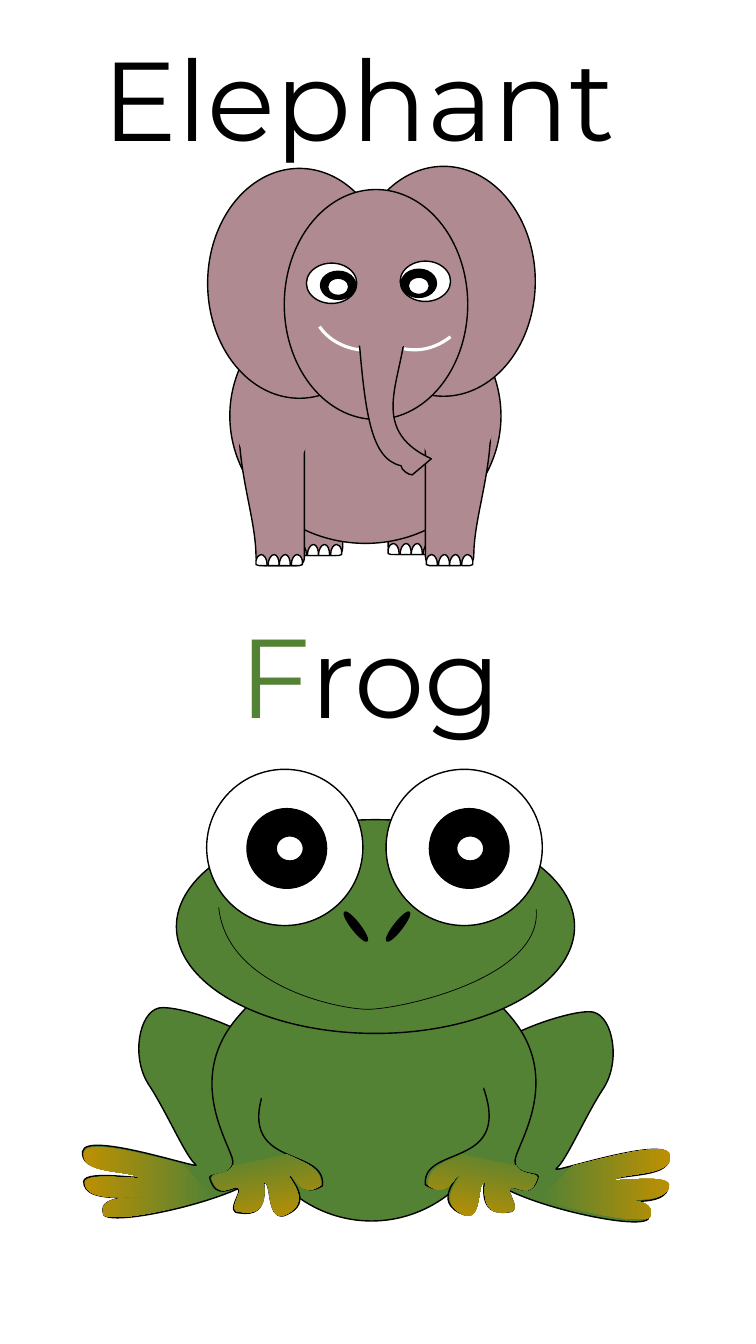
from pptx import Presentation
from pptx.dml.color import RGBColor
from pptx.enum import shapes, text
from pptx.oxml.ns import qn
from pptx import util as u

PX = 9144
MAUVE, GREEN, GOLD = "AF8B91", "548235", "BF9000"
BLACK, WHITE = "000000", "FFFFFF"


def rgb(code):
    return RGBColor.from_string(code)


def emu(*nums):
    return [round(n * PX) for n in nums]


def trace(path, axis=None, dx=0, dy=0):
    """Read M/L/C path text as kinds and points, mirrored (x -> axis - x) or moved."""
    marks = path.split()
    kinds = [m for m in marks if m.isalpha()]
    nums = [int(m) for m in marks if not m.isalpha()]
    points = [(x + dx if axis is None else axis - x, y + dy)
              for x, y in zip(nums[::2], nums[1::2])]
    return kinds, points


def bend(shape, kinds):
    """Merge each three straight steps of a C part into one curve."""
    steps = list(shape._element.iter(qn("a:lnTo")))
    for kind in kinds[1:]:
        first = steps.pop(0)
        if kind == "C":
            first.tag = qn("a:cubicBezTo")
            for spare in (steps.pop(0), steps.pop(0)):
                first.append(spare[0])
                spare.getparent().remove(spare)


class Board:
    font = "Montserrat"
    size = 80

    def __init__(self, deck):
        self.slide = deck.slides.add_slide(deck.slide_layouts[5])
        self.shapes = self.slide.shapes

    def paint(self, shape, fill, line, width, angle=0):
        shape.shadow.inherit = False
        if isinstance(fill, tuple):
            shape.fill.gradient()
            shape.fill.gradient_angle = -angle % 360
            for stop, code, place in zip(shape.fill.gradient_stops, fill, (0, 1)):
                stop.color.rgb, stop.position = rgb(code), place
        elif fill:
            shape.fill.solid()
            shape.fill.fore_color.rgb = rgb(fill)
        else:
            shape.fill.background()
        if line:
            shape.line.color.rgb = rgb(line)
            shape.line.width = u.Pt(width)
        else:
            shape.line.fill.background()

    def oval(self, box, fill, line=BLACK, turn=0):
        shape = self.shapes.add_shape(shapes.MSO_SHAPE.OVAL, *emu(*box))
        shape.rotation = turn
        self.paint(shape, fill, line, 1)

    def free(self, outline, fill, line=BLACK, width=1, angle=0):
        kinds, points = outline
        points = [emu(*p) for p in points]
        maker = self.shapes.build_freeform(*points[0], scale=1.0)
        maker.add_line_segments(points[1:], close=fill is not None)
        shape = maker.convert_to_shape()
        bend(shape, kinds)
        self.paint(shape, fill, line, width, angle)

    def pair(self, path, axis, dy, fill, line=BLACK, angle=0):
        """Draw a left part and its mirrored right part."""
        self.free(trace(path), fill, line, angle=angle)
        self.free(trace(path, axis, dy=dy), fill, line, angle=180 - angle)

    def word(self, shape, box, parts):
        for name, value in zip(("left", "top", "width", "height"), emu(*box)):
            setattr(shape, name, value)
        frame = shape.text_frame
        look = {"word_wrap": False, "auto_size": text.MSO_AUTO_SIZE.SHAPE_TO_FIT_TEXT,
                "vertical_anchor": text.MSO_ANCHOR.TOP}
        for name, value in look.items():
            setattr(frame, name, value)
        line = frame.paragraphs[0]
        line.alignment = text.PP_ALIGN.LEFT
        for words, code in parts:
            run = line.add_run()
            run.text = words
            for name, value in {"name": self.font, "size": u.Pt(self.size)}.items():
                setattr(run.font, name, value)
            run.font.color.rgb = rgb(code)

    def title(self, box, parts):
        self.word(self.shapes.title, box, parts)

    def label(self, box, parts):
        self.word(self.shapes.add_textbox(0, 0, 0, 0), box, parts)


LEG = ("M 340 391 C 340 387 337 383 332 383 L 300 383 C 296 383 282 355 282 359 "
       "C 262 435 292 493 292 543 C 292 548 296 551 300 551 L 332 551 "
       "C 337 551 340 548 340 543")
END_TOE = ("M 5 0 C 3 0 1 2 0 6 L 0 9 L 0 10 C 1 11 2 11 3 11 L 11 11 L 11 10 "
           "C 11 4 8 0 5 0")
MID_TOE = "M 6 0 C 3 0 0 5 0 10 L 0 11 L 11 11 L 11 10 C 11 5 9 0 6 0"
TRUNK = ("M 402 322 C 402 317 399 314 395 314 L 363 314 C 358 314 355 317 355 322 "
         "C 362 408 367 455 398 462 C 398 466 405 471 409 471 L 428 455 "
         "C 362 425 402 373 402 322")
CHEEKS = ["M 317 324 C 325 336 340 345 357 347", "M 401 346 C 417 349 433 345 447 334"]

THIGH = ("M 147 1075 C 130 1048 138 1005 157 1000 C 176 995 267 1027 260 1045 "
         "C 252 1062 271 1135 262 1160 C 254 1185 114 1218 103 1205 "
         "C 93 1179 161 1192 147 1188 C 133 1185 84 1195 83 1172 "
         "C 84 1159 150 1172 138 1166 C 125 1160 79 1164 82 1142 "
         "C 85 1121 204 1162 194 1155 C 184 1147 165 1102 147 1075")
ARM = ("M 234 1011 C 285 950 326 951 334 957 C 341 963 280 1010 278 1046 "
       "C 211 1168 324 1131 320 1176 C 299 1189 294 1166 289 1166 "
       "C 282 1165 317 1193 281 1206 C 264 1208 270 1171 262 1173 "
       "C 260 1172 270 1208 238 1203 C 222 1203 242 1181 236 1179 "
       "C 229 1176 215 1192 208 1168 C 208 1163 231 1168 231 1152 "
       "C 230 1137 183 1073 234 1011")
FOOT = ("M 95 1138 C 88 1138 83 1140 83 1144 C 80 1164 125 1161 137 1167 "
        "C 148 1172 85 1161 84 1173 C 85 1194 132 1185 145 1188 "
        "C 158 1192 94 1179 103 1205 C 110 1212 165 1202 207 1188 L 210 1187 "
        "L 181 1155 L 178 1154 C 157 1149 115 1137 95 1138")
HAND = ("M 285 1145 L 231 1156 C 227 1166 210 1163 210 1168 "
        "C 217 1191 230 1175 236 1178 C 243 1181 223 1202 239 1202 "
        "C 270 1208 260 1172 262 1173 C 270 1171 264 1207 280 1206 "
        "C 315 1193 281 1165 288 1166 C 292 1166 298 1189 318 1176 "
        "C 319 1159 304 1154 289 1147 L 285 1145")
SMILE = "M 532 902 C 538 972 391 1002 364 1001 C 338 1001 225 979 217 900"


def toes(board, left, top):
    for i in range(4):
        x = left + round(i * 35 / 3)
        path = MID_TOE if i in (1, 2) else END_TOE
        board.free(trace(path, x + 11 if i == 3 else None, x, top), WHITE)


def elephant(board):
    board.free(trace(LEG), MAUVE)
    toes(board, 293, 540)
    board.free(trace(LEG, 725, dy=-1), MAUVE)
    toes(board, 385, 539)
    board.oval((228, 286, 269, 253), MAUVE)
    board.free(trace(LEG, dx=-38, dy=10), MAUVE)
    board.oval((231, 360, 76, 109), MAUVE, None, 351.3)
    board.free(trace(LEG, 762, dy=9), MAUVE)
    board.oval((415, 358, 76, 109), MAUVE, None, 3.6)
    for left in (423, 254):
        toes(board, left, 550)
    for left, top in ((349, 165), (206, 167), (282, 188)):
        board.oval((left, top, 182, 228), MAUVE)
    for white, ball, glint in (((304, 261), (318, 269), (325, 276)),
                               ((397, 259), (398, 267), (405, 275))):
        board.oval((*white, 50, 40), WHITE)
        board.oval((*ball, 35, 28), BLACK)
        board.oval((*glint, 21, 17), WHITE)
    for cheek in CHEEKS:
        board.free(trace(cheek), None, WHITE, 2.25)
    board.free(trace(TRUNK), MAUVE)
    board.oval((346, 302, 66, 46), MAUVE, MAUVE)


def frog(board):
    board.pair(THIGH, 746, 4, GREEN)
    board.oval((244, 960, 249, 251), GREEN)
    board.pair(ARM, 742, -1, GREEN)
    board.pair(FOOT, 748, 2, (GOLD, GREEN), None)
    board.pair(HAND, 743, 0, (GREEN, GOLD), None, 79)
    board.oval((423, 1007, 62, 102), GREEN, None, 12.3)
    board.oval((243, 999, 62, 102), GREEN, None, 347.7)
    board.oval((175, 813, 395, 212), GREEN)
    for left in (383, 205):
        board.oval((left, 763, 155, 155), WHITE)
    for left, turn in ((335, 52), (377, 308)):
        board.oval((left, 915, 36, 8), BLACK, turn=turn)
    board.free(trace(SMILE), None, width=0.5)
    for ball, glint in ((245, 274), (426, 453)):
        board.oval((ball, 802, 79, 79), BLACK)
        board.oval((glint, 829, 27, 25), WHITE)


def main():
    deck = Presentation()
    deck.slide_width, deck.slide_height = emu(750, 1333)
    board = Board(deck)
    board.title((92, 24, 570, 145), [("E", BLACK), ("lephant", BLACK)])
    elephant(board)
    board.label((228, 597, 304, 125), [("F", GREEN), ("rog", BLACK)])
    frog(board)
    deck.save("out.pptx")


if __name__ == "__main__":
    main()
